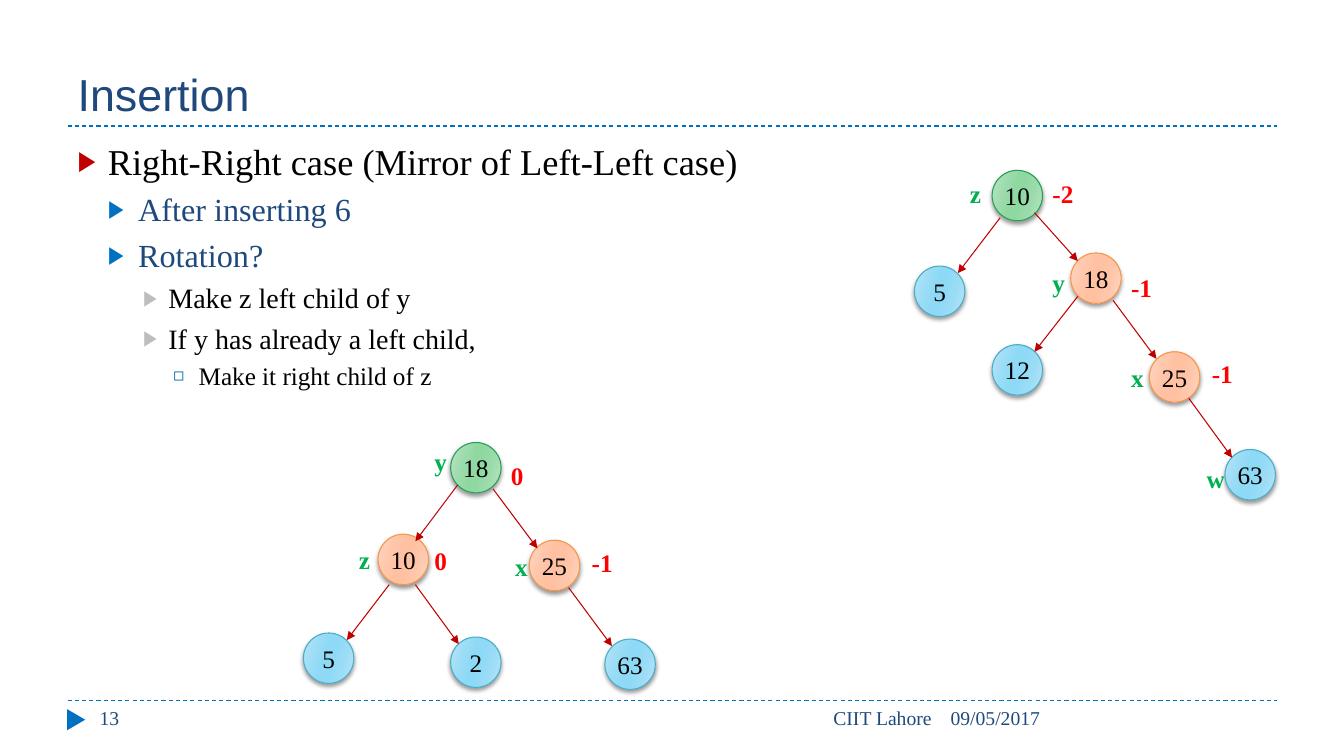
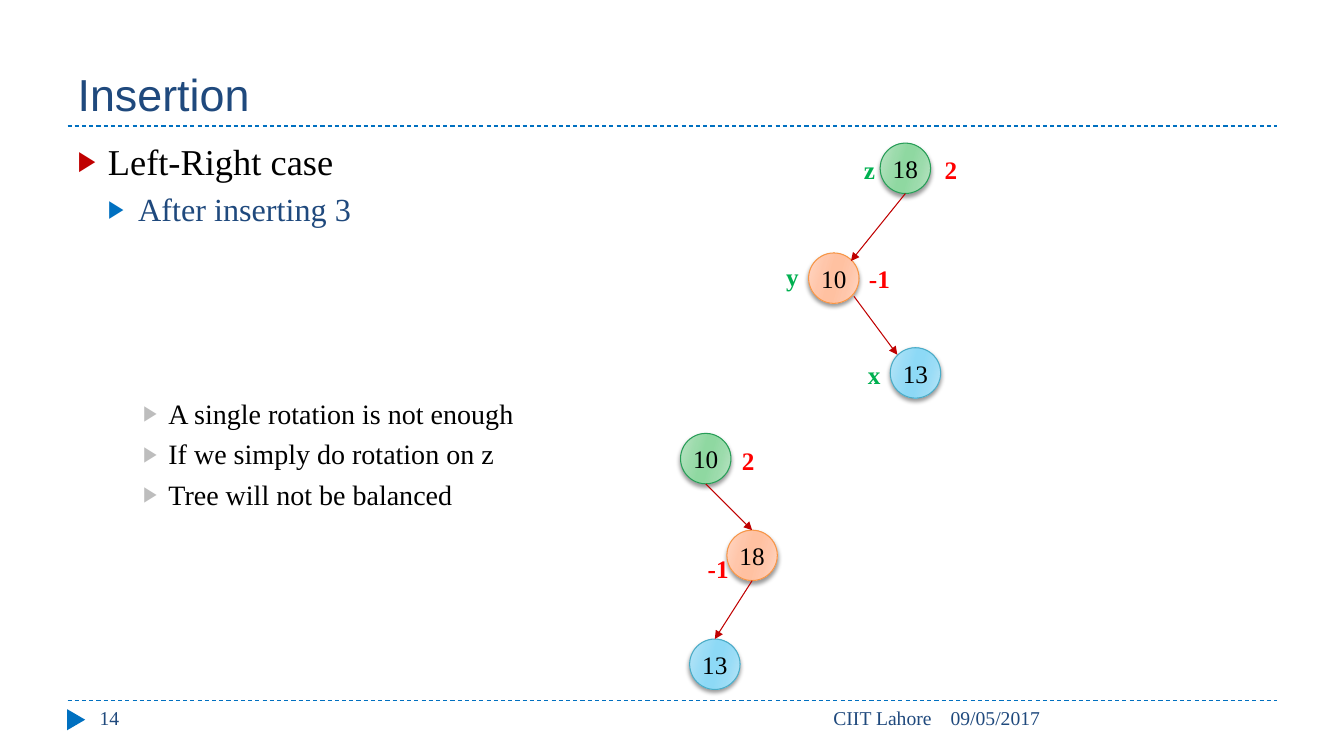
"""Build two slides on AVL tree insertion."""
from lxml import etree
from pptx import Presentation
from pptx import util as u
from pptx.dml.color import RGBColor
from pptx.enum import dml, shapes, text
from pptx.oxml.ns import qn

PX = 9144
NODE = 50
SERIF, SANS = "Times New Roman", "Arial"
BLACK = RGBColor(0x00, 0x00, 0x00)
NAVY = RGBColor(0x1F, 0x49, 0x7D)
BLUE = RGBColor(0x00, 0x70, 0xC0)
DARK_BLUE = RGBColor(0x00, 0x63, 0xA9)
GREY = RGBColor(0xBD, 0xBD, 0xBD)
MAROON = RGBColor(0xC0, 0x00, 0x00)
RED = RGBColor(0xFF, 0x00, 0x00)
GREEN = RGBColor(0x00, 0xB0, 0x50)

ROOT, INNER, LEAF = "root", "inner", "leaf"
NODE_LINES = {
    ROOT: RGBColor(0x27, 0x9D, 0x57),
    INNER: RGBColor(0xF7, 0x96, 0x46),
    LEAF: RGBColor(0x4B, 0xAC, 0xC6),
}
NODE_SHADES = {
    ROOT: ("BBE4C5", "9BDBAB", "8FD8A1"),
    INNER: ("FFD7C5", "FFC6AA", "FFC1A1"),
    LEAF: ("B9E5F7", "99DCF6", "8DD9F6"),
}
STOPS = ((0, 0), (30, 1), (45, 2), (55, 2), (73, 1), (100, 0))
LABEL_WIDTHS = {"z": 31, "w": 38, "-1": 41, "-2": 41}

# level: indent, hanging, space before, size, colour, bullet, bullet colour, bullet %
LEVELS = (
    (30, 30, 6, 26, BLACK, "▶", MAROON, 76),
    (60, 30, 5, 23, NAVY, "▶", BLUE, 76),
    (90, 25, 5, 20, BLACK, "▶", GREY, 76),
    (120, 25, 4, 18, BLACK, "◻", DARK_BLUE, 70),
)

SLIDES = (
    dict(
        number="13",
        bullets=(
            (0, "Right-Right case (Mirror of Left-Left case)"),
            (1, "After inserting 6"),
            (1, "Rotation?"),
            (2, "Make z left child of y"),
            (2, "If y has already a left child,"),
            (3, "Make it right child of z"),
        ),
        nodes=(
            ("10", ROOT, 984, 169), ("5", LEAF, 907, 264),
            ("18", INNER, 1062, 251), ("12", LEAF, 984, 342),
            ("25", INNER, 1140, 349), ("63", LEAF, 1215, 446),
            ("18", ROOT, 447, 439), ("10", INNER, 375, 530),
            ("25", INNER, 525, 536), ("5", LEAF, 301, 628),
            ("2", LEAF, 447, 632), ("63", LEAF, 600, 634),
        ),
        edges=(
            (1026, 211, 1069, 259), (1069, 294, 1026, 349),
            (1104, 298, 1147, 356), (1179, 395, 1222, 454),
            (992, 216, 950, 271), (454, 481, 412, 537),
            (489, 485, 533, 544), (386, 580, 344, 635),
            (412, 580, 455, 639), (564, 583, 607, 641),
        ),
        labels=(
            ("-2", 1034, 172), ("-1", 1112, 265), ("-1", 1192, 351),
            ("0", 421, 536), ("0", 497, 452), ("-1", 577, 538),
            ("z", 952, 172), ("y", 1034, 260), ("x", 1112, 355),
            ("w", 1187, 455), ("y", 421, 438), ("x", 501, 542),
            ("z", 346, 535),
        ),
    ),
    dict(
        number="14",
        bullets=(
            (0, "Left-Right case"),
            (1, "After inserting 3"),
            (2, "A single rotation is not enough", 120),
            (2, "If we simply do rotation on z"),
            (2, "Tree will not be balanced"),
        ),
        nodes=(
            ("18", ROOT, 873, 142), ("10", INNER, 802, 251),
            ("13", LEAF, 883, 345), ("10", ROOT, 675, 430),
            ("18", INNER, 721, 526), ("13", LEAF, 684, 634),
        ),
        edges=(
            (898, 192, 844, 259), (847, 294, 890, 352),
            (700, 480, 746, 526), (746, 576, 709, 634),
        ),
        labels=(
            ("2", 927, 148), ("-1", 852, 256), ("z", 847, 148),
            ("y", 770, 254), ("x", 851, 352), ("2", 726, 437),
            ("-1", 692, 544),
        ),
    ),
)


def px(*lengths):
    """Turn px into EMU."""
    return [n * PX for n in lengths]


def add_run(p, words, size, color, font=SERIF, bold=False):
    """Add a formatted run to a paragraph."""
    r = p.add_run()
    r.text = words
    r.font.name, r.font.size, r.font.bold = font, u.Pt(size), bold
    r.font.color.rgb = color


def place(sp, *box):
    """Move and size a placeholder."""
    sp.left, sp.top, sp.width, sp.height = px(*box)


def add_line(s, ends, color, dash=None, arrow=False):
    """Draw a thin straight line, with an arrowhead if asked."""
    cx = s.shapes.add_connector(shapes.MSO_CONNECTOR.STRAIGHT, *px(*ends))
    cx.line.color.rgb, cx.line.width = color, u.Pt(0.75)
    if dash:
        cx.line.dash_style = dash
    if arrow:
        etree.SubElement(cx.line._get_or_add_ln(), qn("a:tailEnd"), type="triangle")
    etree.SubElement(cx.element.spPr, qn("a:effectLst"))
    return cx


def add_text(s, words, box, size, color, align=None, bold=False, wrap=True):
    """Add a one-line text box."""
    tf = s.shapes.add_textbox(*px(*box)).text_frame
    tf.word_wrap = wrap
    if not wrap:
        tf.auto_size = text.MSO_AUTO_SIZE.SHAPE_TO_FIT_TEXT
    p = tf.paragraphs[0]
    p.alignment = align
    add_run(p, words, size, color, bold=bold)


def add_title(s, words):
    """Fill the title placeholder."""
    sp = s.shapes.title
    place(sp, 67, 17, 1200, 108)
    tf = sp.text_frame
    tf.vertical_anchor = text.MSO_ANCHOR.BOTTOM
    tf.auto_size = text.MSO_AUTO_SIZE.NONE
    p = tf.paragraphs[0]
    p.alignment = text.PP_ALIGN.LEFT
    add_run(p, words, 32, NAVY, font=SANS)


def add_bullet(p, level, words, gap=None):
    """Format a paragraph as a list item of the given level."""
    indent, hang, before, size, color, mark, mark_color, percent = LEVELS[level]
    p.level = level
    p.space_before = u.Pt(before if gap is None else gap)
    pPr = p._p.get_or_add_pPr()
    pPr.set("marL", str(indent * PX))
    pPr.set("indent", str(-hang * PX))
    clr = etree.SubElement(pPr, qn("a:buClr"))
    etree.SubElement(clr, qn("a:srgbClr"), val=str(mark_color))
    etree.SubElement(pPr, qn("a:buSzPct"), val=str(percent * 1000))
    etree.SubElement(pPr, qn("a:buChar"), char=mark)
    add_run(p, words, size, color)


def add_list(s, bullets):
    """Fill the body placeholder with a bulleted list."""
    sp = s.placeholders[1]
    place(sp, 67, 133, 1200, 540)
    tf = sp.text_frame
    tf.auto_size = text.MSO_AUTO_SIZE.NONE
    for i, bullet in enumerate(bullets):
        p = tf.add_paragraph() if i else tf.paragraphs[0]
        add_bullet(p, *bullet)
    tf.paragraphs[0].space_before = u.Pt(0)


def add_frame(s, number):
    """Draw the rules and the footer."""
    for y in (125, 695):
        add_line(s, (67, y, 1267, y), BLUE, dash=dml.MSO_LINE.DASH)
    sp = s.shapes.add_shape(shapes.MSO_SHAPE.ISOSCELES_TRIANGLE, *px(65, 705, 21, 18))
    sp.rotation = 90
    sp.shadow.inherit = False
    sp.fill.solid()
    sp.fill.fore_color.rgb = BLUE
    sp.line.fill.background()
    add_text(s, "09/05/2017", (933, 695, 334, 40), 14, NAVY)
    add_text(s, "CIIT Lahore", (423, 695, 511, 40), 14, NAVY, align=text.PP_ALIGN.RIGHT)
    add_text(s, number, (89, 695, 289, 40), 14, NAVY)


def shade(sp, colors):
    """Give a shape a banded gradient and a soft shadow."""
    sp.fill.gradient()
    sp.fill.gradient_angle = 344
    stops = sp.element.spPr.find(".//" + qn("a:gsLst"))
    stops.clear()
    for pos, i in STOPS:
        gs = etree.SubElement(stops, qn("a:gs"), pos=str(pos * 1000))
        etree.SubElement(gs, qn("a:srgbClr"), val=colors[i])
    sp.shadow.inherit = False
    shadow = etree.SubElement(
        sp.element.spPr.find(qn("a:effectLst")), qn("a:outerShdw"),
        blurRad=str(u.Pt(3)), dist=str(u.Pt(2)), dir="5400000", rotWithShape="0")
    clr = etree.SubElement(shadow, qn("a:srgbClr"), val=str(BLACK))
    etree.SubElement(clr, qn("a:alpha"), val="40000")


def add_node(s, words, kind, x, y):
    """Draw one tree node."""
    sp = s.shapes.add_shape(shapes.MSO_SHAPE.OVAL, *px(x, y, NODE, NODE))
    sp.line.color.rgb, sp.line.width = NODE_LINES[kind], u.Pt(0.75)
    shade(sp, NODE_SHADES[kind])
    tf = sp.text_frame
    tf.margin_left = tf.margin_right = 0
    tf.vertical_anchor = text.MSO_ANCHOR.MIDDLE
    p = tf.paragraphs[0]
    p.alignment = text.PP_ALIGN.CENTER
    add_run(p, words, 18, BLACK)
    return sp


def add_trees(s, nodes, edges, labels):
    """Draw nodes, arrows, names and balance factors."""
    tops = {(x + NODE // 2, y): add_node(s, words, kind, x, y)
            for words, kind, x, y in nodes}
    for ends in edges:
        cx = add_line(s, ends, MAROON, arrow=True)
        if ends[2:] in tops:
            cx.end_connect(tops[ends[2:]], 0)
    for words, x, y in labels:
        color = GREEN if words.isalpha() else RED
        box = (x, y, LABEL_WIDTHS.get(words, 33), 40)
        add_text(s, words, box, 18, color, bold=True, wrap=False)


def main():
    """Build and save the presentation."""
    prs = Presentation()
    prs.slide_width, prs.slide_height = px(1333, 750)
    for content in SLIDES:
        s = prs.slides.add_slide(prs.slide_layouts[1])
        add_frame(s, content["number"])
        add_title(s, "Insertion")
        add_list(s, content["bullets"])
        add_trees(s, content["nodes"], content["edges"], content["labels"])
    prs.save("out.pptx")


if __name__ == "__main__":
    main()
